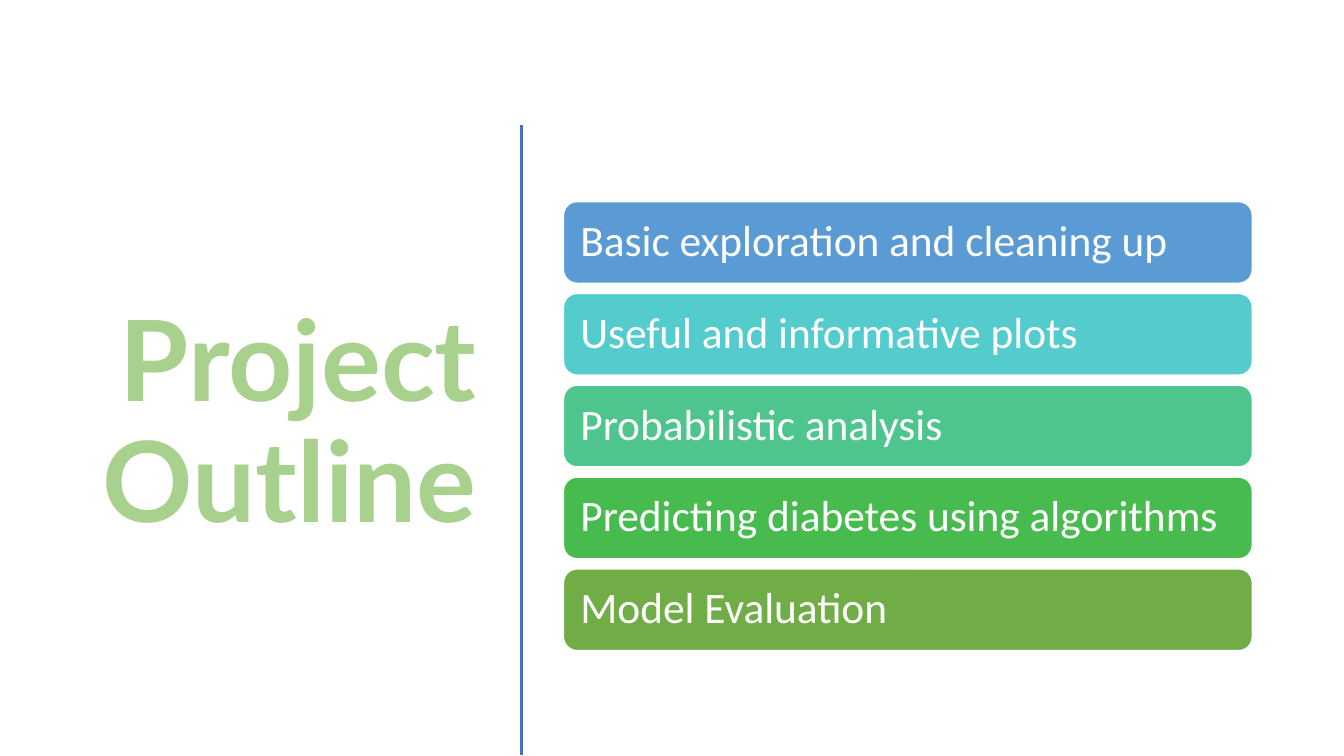
from lxml import etree
from pptx import Presentation
from pptx.dml.color import RGBColor
from pptx.enum.shapes import MSO_CONNECTOR as Connector, MSO_SHAPE as Shape
from pptx.enum.text import MSO_ANCHOR as Anchor, MSO_AUTO_SIZE as AutoSize, PP_ALIGN as Align
from pptx.oxml.ns import qn
from pptx.util import Pt

BARS = [
    ("Basic exploration and cleaning up", "5B9BD5"),
    ("Useful and informative plots", "54CCCD"),
    ("Probabilistic analysis", "4DC58D"),
    ("Predicting diabetes using algorithms", "48BB4F"),
    ("Model Evaluation", "70AD47"),
]
BAR_LEFT, BAR_TOP, BAR_WIDTH, BAR_HEIGHT = 402.5, 144, 492, 58.3
BAR_STEP = 65.6


def paint(color_format, color):
    color_format.rgb = RGBColor.from_string(color)


def write(box, text, font, size, color, align, bold=False):
    frame = box.text_frame
    frame.word_wrap = True
    frame.auto_size = AutoSize.NONE
    frame.vertical_anchor = Anchor.MIDDLE
    para = frame.paragraphs[0]
    para.alignment = align
    para.line_spacing = 0.9
    span = para.add_run()
    span.text = text
    span.font.name = font
    span.font.size = Pt(size)
    span.font.bold = bold
    paint(span.font.color, color)
    return para


def add_title(page, text):
    title = page.shapes.title
    title.left, title.top = Pt(37.5), Pt(84.2)
    title.width, title.height = Pt(310.3), Pt(440)
    para = write(title, text, "Lato", 80, "A9D18E", Align.RIGHT, bold=True)
    para.space_after = Pt(6)


def add_divider(page, x, top, bottom):
    line = page.shapes.add_connector(
        Connector.STRAIGHT, Pt(x), Pt(top), Pt(x), Pt(bottom))
    paint(line.line.color, "4472C4")
    line.line.width = Pt(2)
    etree.SubElement(line._element.spPr, qn("a:effectLst"))


def add_bar(page, top, text, color):
    bar = page.shapes.add_shape(
        Shape.ROUNDED_RECTANGLE, Pt(BAR_LEFT), Pt(top), Pt(BAR_WIDTH), Pt(BAR_HEIGHT))
    bar.shadow.inherit = False
    bar.fill.solid()
    paint(bar.fill.fore_color, color)
    paint(bar.line.color, "FFFFFF")
    bar.line.width = Pt(1)
    # The rounded corners already inset the text by about 3 points
    bar.text_frame.margin_left = bar.text_frame.margin_right = Pt(9.2)
    write(bar, text, "Calibri", 31, "FFFFFF", Align.LEFT)


def main():
    deck = Presentation()
    deck.slide_width, deck.slide_height = Pt(960), Pt(540)
    page = deck.slides.add_slide(deck.slide_layouts[5])

    # Left side: title and dividing line
    add_title(page, "Project Outline")
    add_divider(page, x=372.4, top=89, bottom=539.5)

    # Right side: stack of outline steps
    for index, (text, color) in enumerate(BARS):
        add_bar(page, BAR_TOP + index * BAR_STEP, text, color)

    deck.save("out.pptx")


if __name__ == "__main__":
    main()
